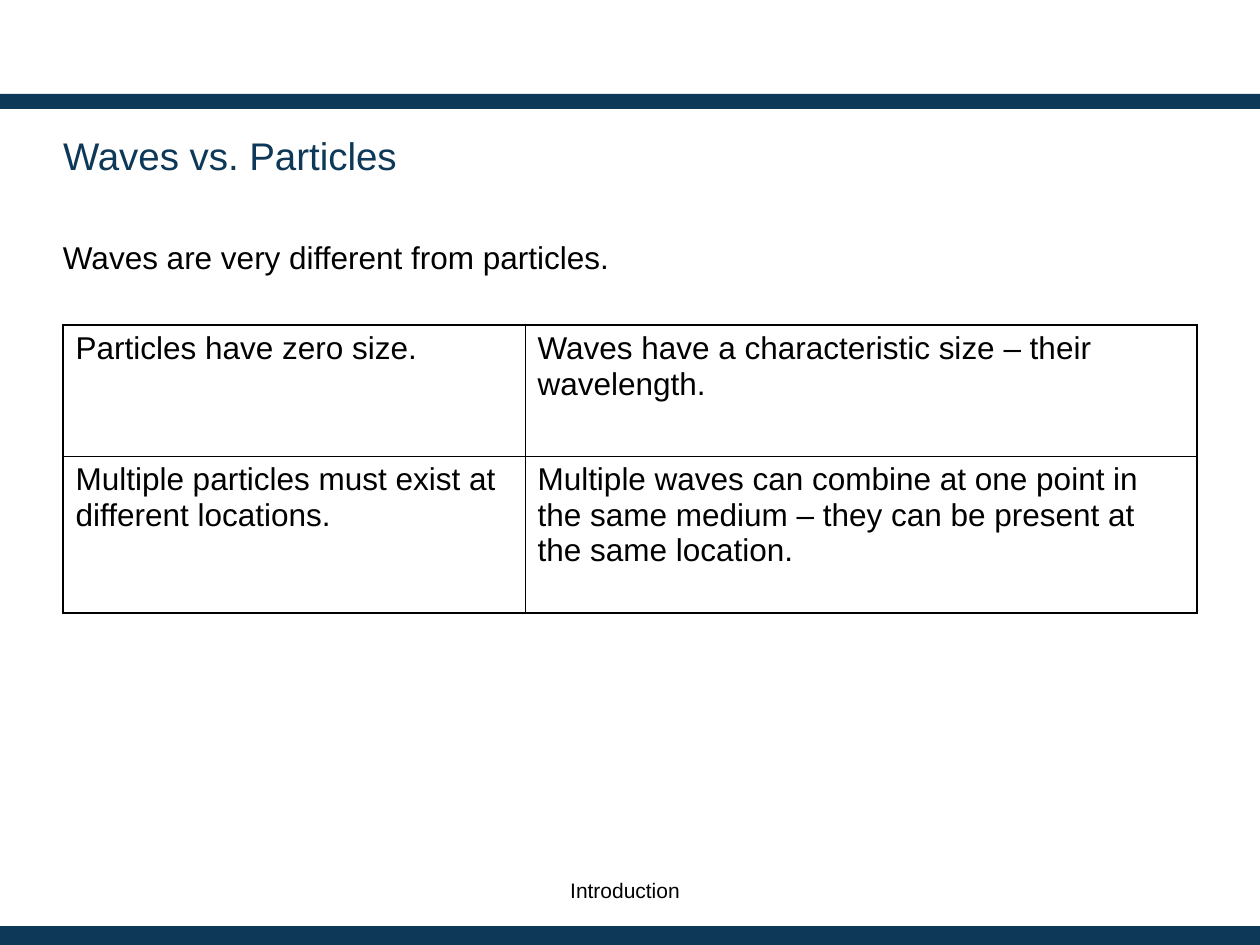
from dataclasses import dataclass

from lxml import etree
from pptx import Presentation
from pptx.dml.color import RGBColor
from pptx.enum.shapes import MSO_SHAPE
from pptx.enum.text import MSO_ANCHOR, MSO_AUTO_SIZE, PP_ALIGN
from pptx.oxml.ns import qn
from pptx.util import Emu, Pt

RECTANGLE = MSO_SHAPE.RECTANGLE
TOP, MIDDLE = MSO_ANCHOR.TOP, MSO_ANCHOR.MIDDLE
LEFT, RIGHT = PP_ALIGN.LEFT, PP_ALIGN.RIGHT
NO_AUTOFIT = MSO_AUTO_SIZE.NONE
TITLE_ONLY = 5
EMU_PER_PX = 914400 / 126


@dataclass(frozen=True)
class Theme:
    font: str = "Arial"
    navy: str = "0D3857"
    black: str = "000000"
    title_size: int = 22
    body_size: int = 18
    footer_size: int = 12
    body_leading: int = 22
    outer_border: float = 1.08
    inner_border: float = 0.45


def px(length):
    return Emu(round(length * EMU_PER_PX))


class SlideBuilder:
    def __init__(self, slide, theme):
        self.slide = slide
        self.theme = theme

    def add_text_run(self, frame, text, size, color, align=LEFT):
        paragraph = frame.paragraphs[0]
        paragraph.alignment = align
        run = paragraph.add_run()
        run.text = text
        run.font.name = self.theme.font
        run.font.size = Pt(size)
        run.font.color.rgb = RGBColor.from_string(color)
        return paragraph

    def band(self, top, height):
        shape = self.slide.shapes.add_shape(RECTANGLE, 0, px(top), px(1260), px(height))
        shape.shadow.inherit = False
        shape.fill.solid()
        shape.fill.fore_color.rgb = RGBColor.from_string(self.theme.navy)
        shape.line.fill.background()

    def frame(self, shape, margins, anchor):
        frame = shape.text_frame
        frame.word_wrap = True
        frame.auto_size = NO_AUTOFIT
        frame.vertical_anchor = anchor
        frame.margin_left = frame.margin_right = px(margins[0])
        frame.margin_top = frame.margin_bottom = px(margins[1])
        return frame

    def title(self, text, left, top, width, height):
        title = self.slide.shapes.title
        title.left, title.top = px(left), px(top)
        title.width, title.height = px(width), px(height)
        frame = self.frame(title, (0, 0), MIDDLE)
        self.add_text_run(frame, text, self.theme.title_size, self.theme.navy)

    def text(self, text, left, top, width, height, size, margins=(0, 0), align=LEFT, leading=None):
        box = self.slide.shapes.add_textbox(px(left), px(top), px(width), px(height))
        frame = self.frame(box, margins, TOP)
        paragraph = self.add_text_run(frame, text, size, self.theme.black, align)
        if leading:
            paragraph.line_spacing = Pt(leading)

    def borders(self, cell, outer_sides):
        properties = cell._tc.get_or_add_tcPr()
        for index, side in enumerate("LRTB"):
            width = self.theme.outer_border if side in outer_sides else self.theme.inner_border
            line = etree.Element(qn(f"a:ln{side}"), w=str(int(Pt(width))))
            fill = etree.SubElement(line, qn("a:solidFill"))
            etree.SubElement(fill, qn("a:srgbClr"), val=self.theme.black)
            properties.insert(index, line)

    def table(self, rows, left, top, column_widths, row_heights):
        table = self.slide.shapes.add_table(
            len(rows), len(column_widths), px(left), px(top),
            px(sum(column_widths)), px(sum(row_heights))).table
        table.first_row = table.horz_banding = False
        for column, width in zip(table.columns, column_widths):
            column.width = px(width)
        for row, height in zip(table.rows, row_heights):
            row.height = px(height)
        last_row, last_column = len(rows) - 1, len(column_widths) - 1
        for row_index, texts in enumerate(rows):
            for column_index, text in enumerate(texts):
                cell = table.cell(row_index, column_index)
                cell.fill.background()
                outer = {"T": row_index == 0, "B": row_index == last_row,
                         "L": column_index == 0, "R": column_index == last_column}
                self.borders(cell, [side for side in outer if outer[side]])
                self.add_text_run(cell.text_frame, text, self.theme.body_size, self.theme.black)


def main():
    presentation = Presentation()
    presentation.slide_width, presentation.slide_height = px(1260), px(945)
    slide = presentation.slides.add_slide(presentation.slide_layouts[TITLE_ONLY])
    theme = Theme()
    builder = SlideBuilder(slide, theme)

    builder.band(94, 15)
    builder.band(926, 19)
    builder.title("Waves vs. Particles", 63, 116, 1040, 79)
    builder.text("Waves are very different from particles.", 63, 237, 1134, 78,
                 theme.body_size, leading=theme.body_leading)
    builder.table([
        ["Particles have zero size.",
         "Waves have a characteristic size – their wavelength."],
        ["Multiple particles must exist at different locations.",
         "Multiple waves can combine at one point in the same medium – "
         "they can be present at the same location."],
    ], 63, 325, [462, 672], [131, 157])
    builder.text("Introduction", 494, 872, 199, 38, theme.footer_size,
                 margins=(13, 6), align=RIGHT)

    presentation.save("out.pptx")


if __name__ == "__main__":
    main()
